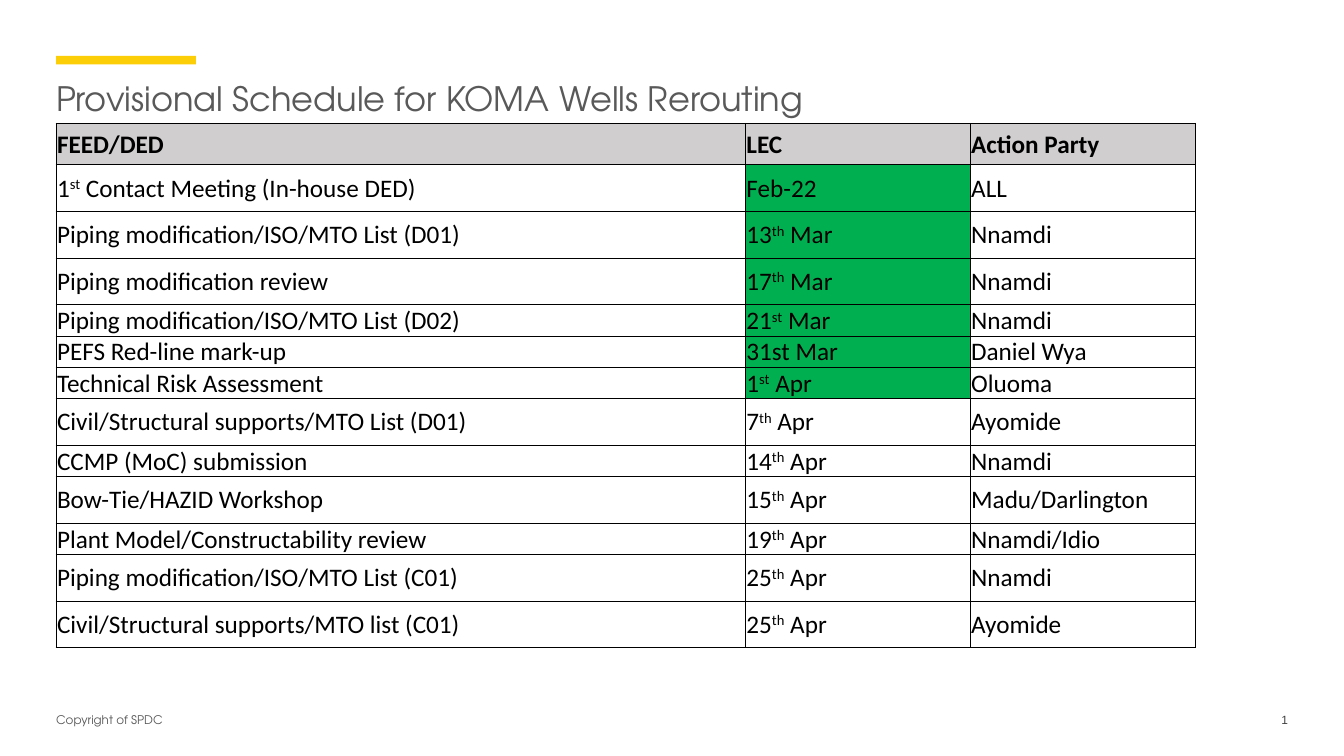
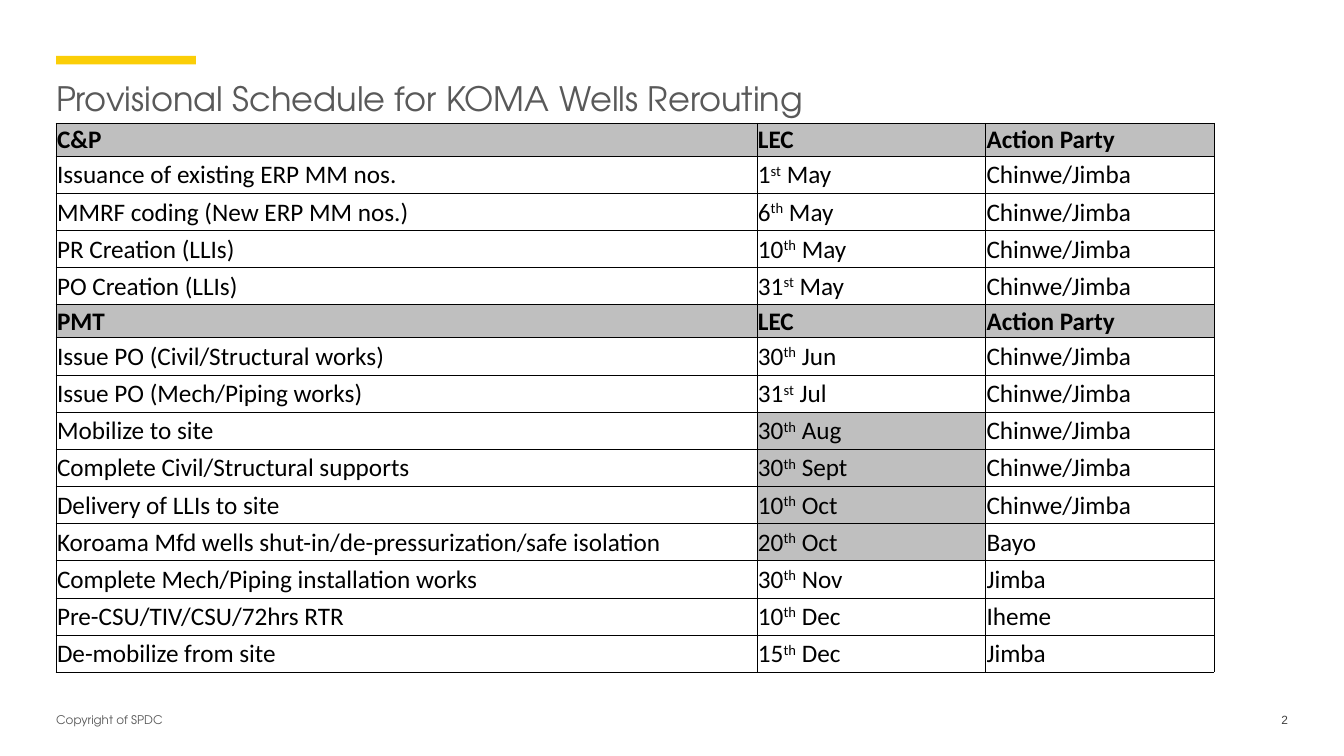
from typing import NamedTuple

from pptx import Presentation
from pptx.dml.color import RGBColor
from pptx.enum.shapes import MSO_SHAPE as Shape
from pptx.enum.text import MSO_ANCHOR as Anchor, PP_ALIGN as Align
from pptx.oxml import parse_xml
from pptx.oxml.ns import nsdecls
from pptx.util import Inches, Pt

BLACK = RGBColor(0x00, 0x00, 0x00)
TITLE_GREY = RGBColor(0x59, 0x59, 0x59)
NUMBER_GREY = RGBColor(0x40, 0x40, 0x40)
HEADER_GREY = RGBColor(0xD0, 0xCE, 0xCE)
MID_GREY = RGBColor(0xBF, 0xBF, 0xBF)
YELLOW = RGBColor(0xFB, 0xCE, 0x07)
GREEN = RGBColor(0x00, 0xB0, 0x50)

HEADING_FONT = "TeX Gyre Adventor"
TABLE_FONT = "Calibri"
NUMBER_FONT = "Arial"

SLIDE_WIDTH, SLIDE_HEIGHT = Inches(13.33), Inches(7.5)
UNIT = SLIDE_WIDTH / 24
MARGIN = 1
TABLE_TOP = 2.2
FOOTER_TOP, FOOTER_HEIGHT = 12.73, 0.47
COLUMN_WEIGHTS = (46, 15, 15)

TITLE = "Provisional Schedule for KOMA Wells Rerouting"
COPYRIGHT = "Copyright of SPDC"


class Row(NamedTuple):
    """One schedule line; height is a weight and ^ encloses superscripts."""
    activity: str
    date: str
    party: str
    height: int = 9
    date_fill: RGBColor | None = None
    header_fill: RGBColor | None = None


def header(section, fill):
    """Return the heading row of a schedule section."""
    return Row(section, "LEC", "Action Party", 8, fill, fill)


DESIGN_ROWS = [
    header("FEED/DED", HEADER_GREY),
    Row("1^st^ Contact Meeting (In-house DED)", "Feb-22", "ALL", 9, GREEN),
    Row("Piping modification/ISO/MTO List (D01)", "13^th^ Mar", "Nnamdi", 9, GREEN),
    Row("Piping modification review", "17^th^ Mar", "Nnamdi", 9, GREEN),
    Row("Piping modification/ISO/MTO List (D02)", "21^st^ Mar", "Nnamdi", 6, GREEN),
    Row("PEFS Red-line mark-up", "31st Mar", "Daniel Wya", 6, GREEN),
    Row("Technical Risk Assessment", "1^st^ Apr", "Oluoma", 6, GREEN),
    Row("Civil/Structural supports/MTO List (D01)", "7^th^ Apr", "Ayomide"),
    Row("CCMP (MoC) submission", "14^th^ Apr", "Nnamdi", 6),
    Row("Bow-Tie/HAZID Workshop", "15^th^ Apr", "Madu/Darlington"),
    Row("Plant Model/Constructability review", "19^th^ Apr", "Nnamdi/Idio", 6),
    Row("Piping modification/ISO/MTO List (C01)", "25^th^ Apr", "Nnamdi"),
    Row("Civil/Structural supports/MTO list (C01)", "25^th^ Apr", "Ayomide"),
]

DELIVERY_ROWS = [
    header("C&P", MID_GREY),
    Row("Issuance of existing ERP MM nos.", "1^st^ May", "Chinwe/Jimba"),
    Row("MMRF coding (New ERP MM nos.)", "6^th^ May", "Chinwe/Jimba"),
    Row("PR Creation (LLIs)", "10^th^ May", "Chinwe/Jimba"),
    Row("PO Creation (LLIs)", "31^st^ May", "Chinwe/Jimba"),
    header("PMT", MID_GREY),
    Row("Issue PO (Civil/Structural works)", "30^th^ Jun", "Chinwe/Jimba"),
    Row("Issue PO (Mech/Piping works)", "31^st^ Jul", "Chinwe/Jimba"),
    Row("Mobilize to site", "30^th^ Aug", "Chinwe/Jimba", 9, MID_GREY),
    Row("Complete Civil/Structural supports", "30^th^ Sept", "Chinwe/Jimba", 9, MID_GREY),
    Row("Delivery of LLIs to site", "10^th^ Oct", "Chinwe/Jimba", 9, MID_GREY),
    Row("Koroama Mfd wells shut-in/de-pressurization/safe isolation",
        "20^th^ Oct", "Bayo", 9, MID_GREY),
    Row("Complete Mech/Piping installation works", "30^th^ Nov", "Jimba"),
    Row("Pre-CSU/TIV/CSU/72hrs RTR", "10^th^ Dec", "Iheme"),
    Row("De-mobilize from site", "15^th^ Dec", "Jimba"),
]


def units(*values):
    """Convert grid units to slide lengths."""
    return [round(value * UNIT) for value in values]


def write(frame, text, font=HEADING_FONT, size=18, color=BLACK, bold=False, align=Align.LEFT):
    """Write text into a frame's first paragraph, raising parts between ^ marks."""
    paragraph = frame.paragraphs[0]
    paragraph.alignment = align
    for index, part in enumerate(text.split("^")):
        run = paragraph.add_run()
        run.text = part
        run.font.name, run.font.size, run.font.bold = font, Pt(size), bold
        run.font.color.rgb = color
        if index % 2:
            run.font._element.set("baseline", "30000")


def set_margins(frame, bottom=0):
    """Remove a frame's margins except the bottom one and anchor its text at the top."""
    frame.margin_left = frame.margin_top = frame.margin_right = 0
    frame.margin_bottom = Inches(bottom)
    frame.vertical_anchor = Anchor.TOP
    frame.word_wrap = True


def add_bar(slide):
    """Draw the accent bar above the title."""
    bar = slide.shapes.add_shape(Shape.RECTANGLE, *units(MARGIN, 1, 2.5, 0.15))
    bar.shadow.inherit = False
    bar.fill.solid()
    bar.fill.fore_color.rgb = YELLOW
    bar.line.fill.background()


def set_title(slide, text):
    """Place and format the title placeholder."""
    title = slide.shapes.title
    title.left, title.top, title.width, title.height = units(MARGIN, 1.4, 22, 0.8)
    set_margins(title.text_frame)
    write(title.text_frame, text, size=24, color=TITLE_GREY)


def add_footer_text(slide, left, width, text, **text_format):
    """Add one footer text box and return its text frame."""
    box = slide.shapes.add_textbox(*units(left, FOOTER_TOP, width, FOOTER_HEIGHT))
    set_margins(box.text_frame, bottom=0.05)
    write(box.text_frame, text, size=8.5, **text_format)
    return box.text_frame


def add_page_number(slide, number):
    """Add the slide number as a live field."""
    frame = add_footer_text(slide, 22.3, 0.7, str(number), font=NUMBER_FONT,
                            color=NUMBER_GREY, align=Align.RIGHT)
    run = frame.paragraphs[0].runs[0]._r
    field = parse_xml(f'<a:fld {nsdecls("a")} type="slidenum" '
                      'id="{B6F15528-21DE-4FAA-801E-634DDDAF4B2B}"/>')
    run.addprevious(field)
    for child in list(run):
        field.append(child)
    run.getparent().remove(run)


def set_borders(cell):
    """Give a cell thin black borders."""
    properties = cell._tc.get_or_add_tcPr()
    for index, side in enumerate("LRTB"):
        properties.insert(index, parse_xml(
            f'<a:ln{side} {nsdecls("a")} w="{Pt(0.5)}"><a:solidFill>'
            f'<a:srgbClr val="{BLACK}"/></a:solidFill></a:ln{side}>'))


def fill_cell(cell, text, fill, bold):
    """Write and format one table cell."""
    cell.margin_left = cell.margin_top = cell.margin_right = Inches(0.01)
    cell.margin_bottom = 0
    cell.vertical_anchor = Anchor.MIDDLE
    if fill is None:
        cell.fill.background()
    else:
        cell.fill.solid()
        cell.fill.fore_color.rgb = fill
    set_borders(cell)
    write(cell.text_frame, text, font=TABLE_FONT, bold=bold)


def add_schedule(slide, rows, width, height):
    """Add a schedule table whose columns and rows follow their weights."""
    table = slide.shapes.add_table(len(rows), len(COLUMN_WEIGHTS),
                                   *units(MARGIN, TABLE_TOP, width, height)).table
    table.first_row = table.horz_banding = False
    for column, weight in zip(table.columns, COLUMN_WEIGHTS):
        column.width, = units(width * weight / sum(COLUMN_WEIGHTS))
    total = sum(row.height for row in rows)
    for line, row in zip(table.rows, rows):
        line.height, = units(height * row.height / total)
        texts = (row.activity, row.date, row.party)
        fills = (row.header_fill, row.date_fill, row.header_fill)
        for cell, text, fill in zip(line.cells, texts, fills):
            fill_cell(cell, text, fill, bold=row.header_fill is not None)


def add_schedule_slide(presentation, number, rows, width, height):
    """Add a slide with the shared title, bar and footer and one schedule."""
    slide = presentation.slides.add_slide(presentation.slide_layouts.get_by_name("Title Only"))
    add_bar(slide)
    set_title(slide, TITLE)
    add_footer_text(slide, MARGIN, 6.6, COPYRIGHT, color=TITLE_GREY)
    add_page_number(slide, number)
    add_schedule(slide, rows, width, height)


def main():
    """Build and save the presentation."""
    presentation = Presentation()
    presentation.slide_width, presentation.slide_height = SLIDE_WIDTH, SLIDE_HEIGHT
    add_schedule_slide(presentation, 1, DESIGN_ROWS, width=20.34, height=9.36)
    add_schedule_slide(presentation, 2, DELIVERY_ROWS, width=20.68, height=9.81)
    presentation.save("out.pptx")


if __name__ == "__main__":
    main()
